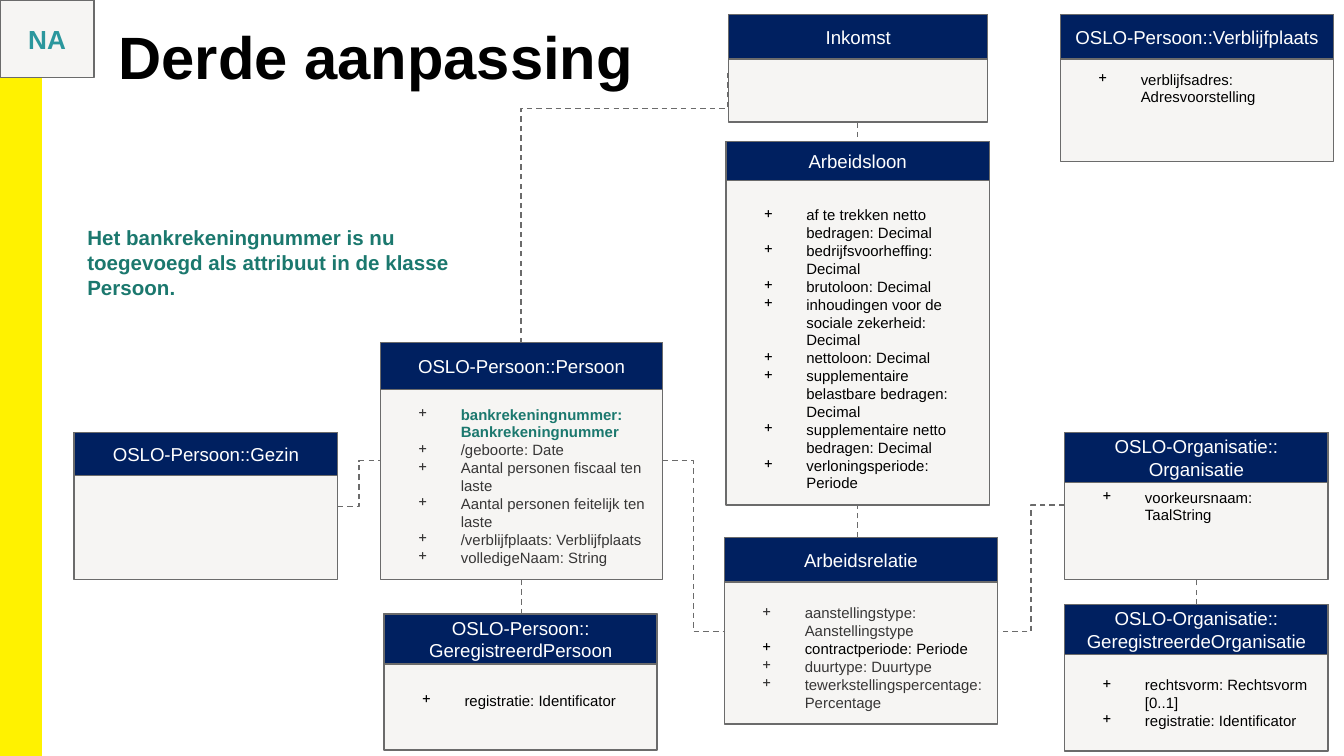
from lxml import etree
from pptx import Presentation
from pptx.dml.color import RGBColor
from pptx.enum.dml import MSO_LINE
from pptx.enum.shapes import MSO_CONNECTOR, MSO_SHAPE
from pptx.enum.text import MSO_ANCHOR, PP_ALIGN
from pptx.oxml.ns import qn
from pptx.util import Cm, Pt

RECTANGLE = MSO_SHAPE.RECTANGLE
STRAIGHT, ELBOW = MSO_CONNECTOR.STRAIGHT, MSO_CONNECTOR.ELBOW
TOP, MIDDLE, BOTTOM = MSO_ANCHOR.TOP, MSO_ANCHOR.MIDDLE, MSO_ANCHOR.BOTTOM
LEFT, CENTER = PP_ALIGN.LEFT, PP_ALIGN.CENTER

YELLOW = RGBColor(0xFF, 0xF2, 0x00)
NAVY = RGBColor(0x00, 0x20, 0x60)
PAPER = RGBColor(0xF6, 0xF5, 0xF3)
GREY = RGBColor(0x6B, 0x6B, 0x6B)
DARK = RGBColor(0x37, 0x36, 0x36)
GREEN = RGBColor(0x1B, 0x78, 0x6E)
TEAL = RGBColor(0x2B, 0x97, 0x9D)
BLACK = RGBColor(0, 0, 0)
WHITE = RGBColor(0xFF, 0xFF, 0xFF)

presentation = Presentation()
presentation.slide_width, presentation.slide_height = Cm(25.4), Cm(14.29)
slide = presentation.slides.add_slide(presentation.slide_layouts[6])
shapes = slide.shapes


def add_box(place, fill=None, line=GREY, anchor=MIDDLE, insets=(0.25, 0.25, 0.25, 0.25)):
    """Add a rectangle, or a text box when there is no fill; insets run left, top, right, bottom."""
    lengths = [Cm(value) for value in place]
    if fill is None:
        shape = shapes.add_textbox(*lengths)
    else:
        shape = shapes.add_shape(RECTANGLE, *lengths)
        shape.shadow.inherit = False
        shape.fill.solid()
        shape.fill.fore_color.rgb = fill
        shape.line.color.rgb = line
        shape.line.width = Pt(0.75)
    frame = shape.text_frame
    frame.word_wrap = True
    frame.vertical_anchor = anchor
    for side, inset in zip(("left", "top", "right", "bottom"), insets):
        setattr(frame, f"margin_{side}", Cm(inset))
    return frame


def write(frame, items, size, align=LEFT, bullet=False):
    """Write one paragraph for each (text, colour, bold) item."""
    for index, (text, color, bold) in enumerate(items):
        paragraph = frame.add_paragraph() if index else frame.paragraphs[0]
        paragraph.alignment = align
        if bullet:
            properties = paragraph._p.get_or_add_pPr()
            properties.set("marL", str(Cm(1.27)))
            properties.set("indent", str(-Cm(0.8)))
            bullet_color = etree.SubElement(properties, qn("a:buClr"))
            marker_color = DARK if color == GREEN else color
            etree.SubElement(bullet_color, qn("a:srgbClr")).set("val", str(marker_color))
            etree.SubElement(properties, qn("a:buChar")).set("char", "+")
        run = paragraph.add_run()
        run.text = text
        run.font.color.rgb = color
        for name, value in {"name": "Arial", "size": Pt(size), "bold": bold}.items():
            setattr(run.font, name, value)


add_box((0, 0, 0.79, 14.29), YELLOW, YELLOW)

# Associations: kind, start, end, rotation in degrees, bend position
associations = [
    (ELBOW, (6.38, 9.58), (7.19, 8.71), 0, 0.5),        # Gezin - Persoon
    (ELBOW, (12.52, 8.71), (13.69, 11.94), 0, 0.5),     # Persoon - Arbeidsrelatie
    (ELBOW, (20.12, 9.55), (18.85, 11.94), 0, 0.5),     # Organisatie - Arbeidsrelatie
    (ELBOW, (9.25, 1.98), (14.35, 5.89), 270, 0.87),    # Persoon - Inkomst
    (STRAIGHT, (16.21, 10.16), (16.21, 9.55), 0, None),
    (STRAIGHT, (16.21, 2.31), (16.21, 2.67), 0, None),
    (STRAIGHT, (9.85, 11.61), (9.85, 10.95), 0, None),
    (STRAIGHT, (22.61, 11.43), (22.61, 10.95), 0, None),
]
for kind, start, end, rotation, bend in associations:
    connector = shapes.add_connector(kind, *[Cm(value) for value in start + end])
    connector.line.color.rgb = GREY
    connector.line.width = Pt(0.75)
    connector.line.dash_style = MSO_LINE.DASH
    properties = connector._element.spPr
    etree.SubElement(properties, qn("a:effectLst"))
    if rotation:
        properties.find(qn("a:xfrm")).set("rot", str(rotation * 60000))
    if bend:
        guides = properties.find(qn("a:prstGeom")).get_or_add_avLst()
        guide = etree.SubElement(guides, qn("a:gd"))
        guide.set("name", "adj1")
        guide.set("fmla", f"val {round(bend * 100000)}")

# Classes: title lines, place, header height, anchor, top and bottom inset, attributes
classes = [
    (["OSLO-Persoon::Gezin"], (1.4, 8.18, 4.98, 2.77), 0.81, MIDDLE, 0.25, 0.25, []),
    (["OSLO-Persoon::Persoon"], (7.19, 6.48, 5.33, 4.47), 0.89, BOTTOM, 0.25, 0.25, [
        ("bankrekeningnummer: Bankrekeningnummer", GREEN, True),
        ("/geboorte: Date", DARK, False),
        ("Aantal personen fiscaal ten laste", DARK, False),
        ("Aantal personen feitelijk ten laste", DARK, False),
        ("/verblijfplaats: Verblijfplaats", DARK, False),
        ("volledigeNaam: String", DARK, False),
    ]),
    (["Arbeidsloon"], (13.72, 2.67, 4.98, 6.88), 0.74, BOTTOM, 0.25, 0.25, [
        ("af te trekken netto bedragen: Decimal", BLACK, False),
        ("bedrijfsvoorheffing: Decimal", BLACK, False),
        ("brutoloon: Decimal", BLACK, False),
        ("inhoudingen voor de sociale zekerheid: Decimal", BLACK, False),
        ("nettoloon: Decimal", BLACK, False),
        ("supplementaire belastbare bedragen: Decimal", BLACK, False),
        ("supplementaire netto bedragen: Decimal", BLACK, False),
        ("verloningsperiode: Periode", BLACK, False),
    ]),
    (["OSLO-Organisatie::", "Organisatie"], (20.12, 8.18, 4.98, 2.77), 0.94, MIDDLE, 0.25, 0.25,
     [("voorkeursnaam: TaalString", BLACK, False)]),
    (["Inkomst"], (13.77, 0.28, 4.9, 2.03), 0.84, MIDDLE, 0.25, 0.25, []),
    (["OSLO-Persoon::", "GeregistreerdPersoon"], (7.26, 11.61, 5.16, 2.57), 0.94, MIDDLE, 0.93, 0.25,
     [("registratie: Identificator", BLACK, False)]),
    (["OSLO-Organisatie::", "GeregistreerdeOrganisatie"], (20.12, 11.43, 4.98, 2.77), 0.94, BOTTOM, 0.25, 0.41, [
        ("rechtsvorm: Rechtsvorm [0..1]", BLACK, False),
        ("registratie: Identificator", BLACK, False),
    ]),
    (["OSLO-Persoon::Verblijfplaats"], (20.04, 0.28, 5.16, 2.77), 0.84, MIDDLE, 0.25, 0.25,
     [("verblijfsadres: Adresvoorstelling", BLACK, False)]),
    (["Arbeidsrelatie"], (13.69, 10.16, 5.16, 3.53), 0.84, BOTTOM, 0.25, 0.25, [
        ("aanstellingstype: Aanstellingstype", DARK, False),
        ("contractperiode: Periode", BLACK, False),
        ("duurtype: Duurtype", DARK, False),
        ("tewerkstellingspercentage: Percentage", DARK, False),
    ]),
]
for title_lines, place, header_height, anchor, top, bottom, attributes in classes:
    body = add_box(place, PAPER, anchor=anchor, insets=(0.25, top, 0.25, bottom))
    write(body, attributes, 8, bullet=True)
    header = add_box((*place[:3], header_height), NAVY)
    write(header, [(line, WHITE, False) for line in title_lines], 10, CENTER)

title = add_box((2.06, 0.28, 11.38, 1.73), anchor=TOP, insets=(0.18, 0.1, 0.18, 0.1))
write(title, [("Derde aanpassing", BLACK, True)], 32)
badge = add_box((0, 0, 1.78, 1.47), PAPER)
write(badge, [("NA", TEAL, True)], 14, CENTER)
explanation = add_box((1.4, 4.01, 8.2, 1.93), anchor=TOP)
write(explanation, [
    ("Het bankrekeningnummer is nu toegevoegd als attribuut in de klasse Persoon.", GREEN, True),
], 11)

presentation.save("out.pptx")
